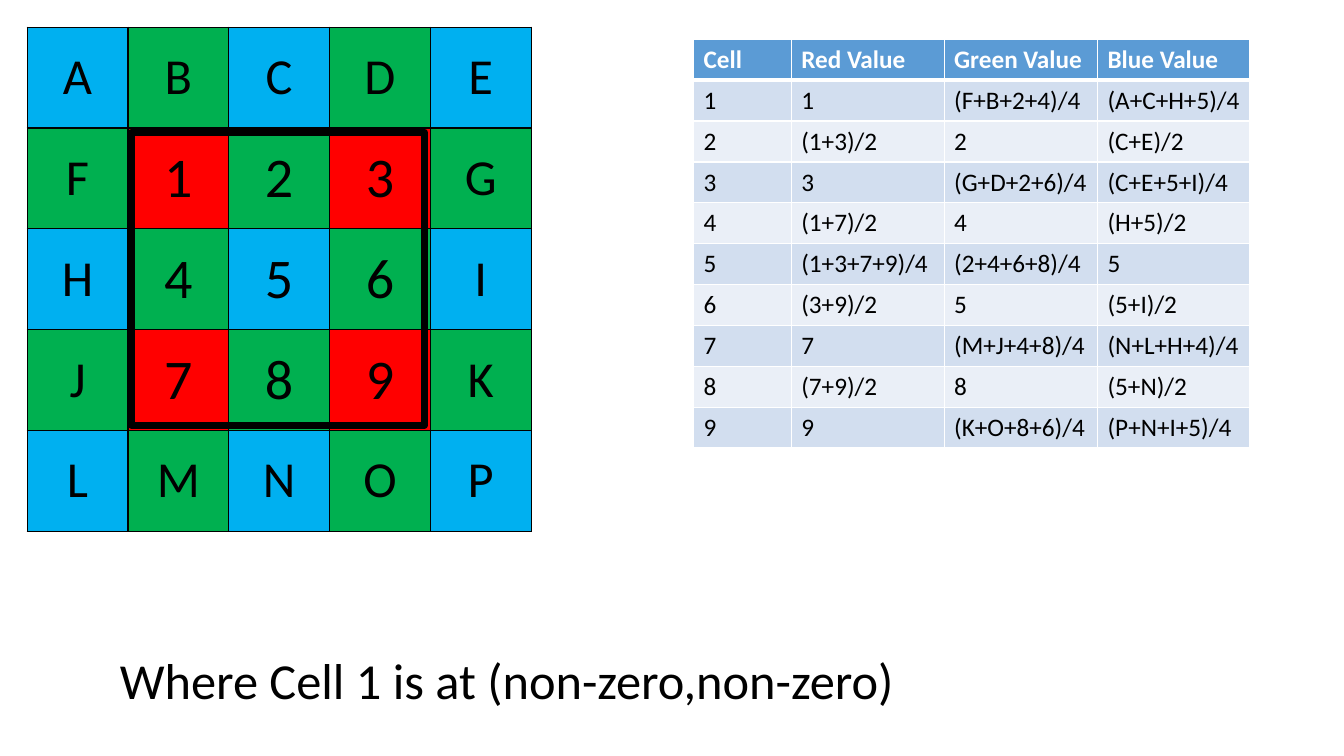
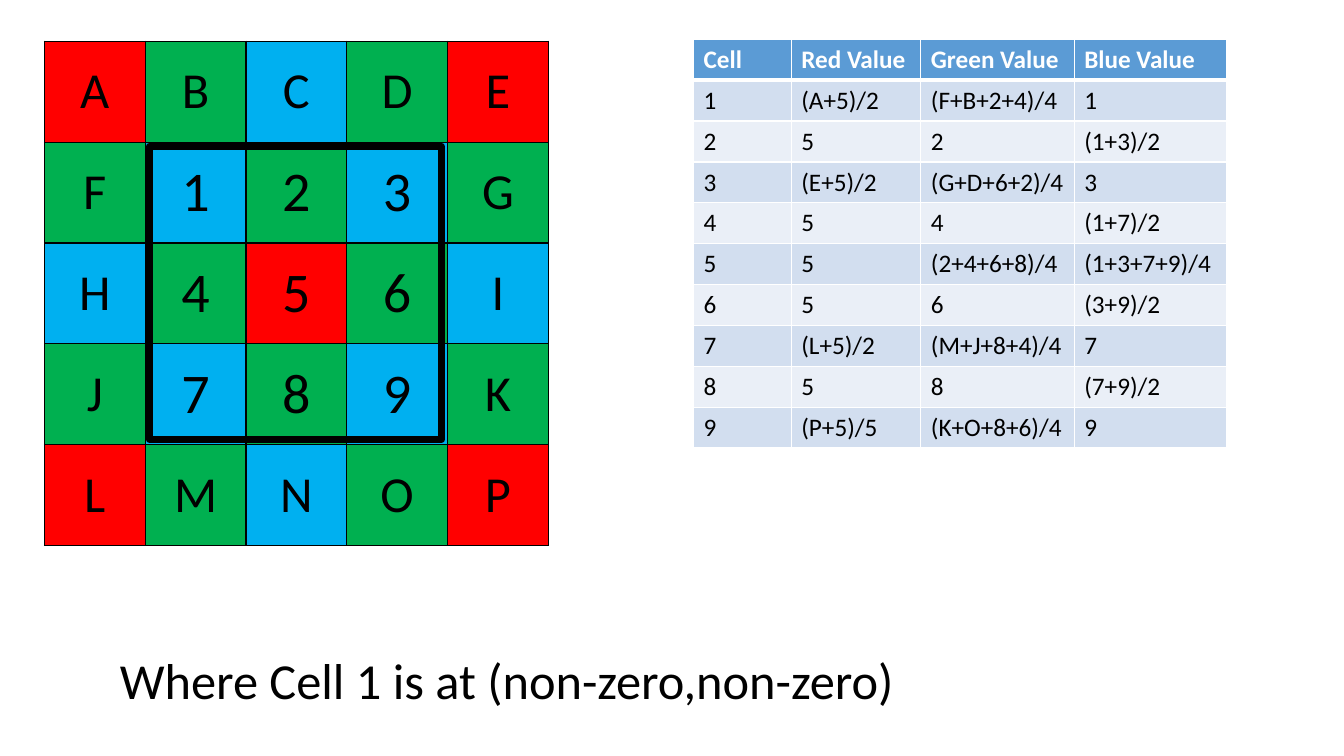
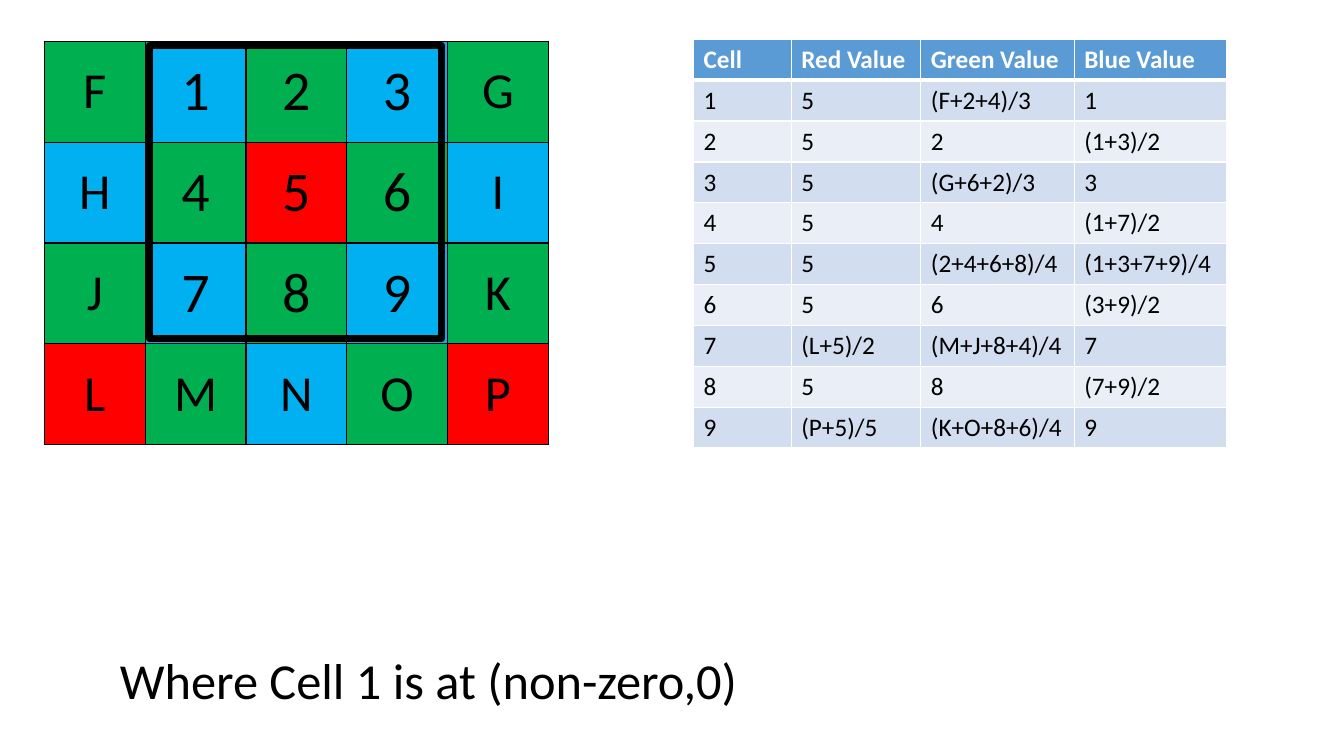
from dataclasses import dataclass

from lxml import etree
from pptx import Presentation
from pptx.dml.color import RGBColor
from pptx.enum.shapes import MSO_SHAPE
from pptx.enum.text import MSO_ANCHOR, MSO_AUTO_SIZE, PP_ALIGN
from pptx.oxml.ns import qn
from pptx.util import Pt

RECTANGLE = MSO_SHAPE.RECTANGLE
MIDDLE = MSO_ANCHOR.MIDDLE
FIT_SHAPE = MSO_AUTO_SIZE.SHAPE_TO_FIT_TEXT
CENTER, LEFT = PP_ALIGN.CENTER, PP_ALIGN.LEFT


@dataclass(frozen=True)
class Theme:
    font: str = "Calibri"
    ink: str = "000000"
    paper: str = "FFFFFF"
    red: str = "FF0000"
    green: str = "00B050"
    blue: str = "00B0F0"
    header: str = "5B9BD5"
    bands: tuple = ("D2DEEF", "EAEFF7")
    letter_size: int = 36
    digit_size: int = 40
    table_size: int = 18
    caption_size: int = 36
    rule: int = 1
    header_rule: int = 3
    frame_rule: int = 5


@dataclass(frozen=True)
class Box:
    left: float
    top: float
    width: float
    height: float

    def lengths(self):
        return Pt(self.left), Pt(self.top), Pt(self.width), Pt(self.height)


THEME = Theme()
PIXEL_FILLS = {"R": THEME.red, "G": THEME.green, "B": THEME.blue}
CELL_SIZE = 72
FRAME_INSET = 2.9
HEADINGS = ("Cell", "Red Value", "Green Value", "Blue Value")
CAPTION_BOX = Box(78.5, 460.1, 572.4, 50.9)
CAPTION_BOX_SHORT = Box(78.5, 460.1, 459.4, 50.9)
VALUES_LEFT, VALUES_TOP, VALUES_ROW = 495.4, 28.1, 29.2

LETTERS = ("ABCDE", "F123G", "H456I", "J789K", "LMNOP")
RED_CENTER = ("RGBGR", "GBGBG", "BGRGB", "GBGBG", "RGBGR")
BLUE_CENTER = ("BGBGB", "GRGRG", "BGBGB", "GRGRG", "BGBGB")
CORNER_AVERAGES = ("1", "(1+3)/2", "3", "(1+7)/2", "(1+3+7+9)/4",
                   "(3+9)/2", "7", "(7+9)/2", "9")
GREEN_LOWER = ("4", "(2+4+6+8)/4", "6", "(M+J+8+4)/4", "8", "(K+O+8+6)/4")
RED_LOWER = ("5", "5", "5", "(L+5)/2", "5", "(P+5)/5")


def style_paragraph(para, size, color, bold=False, align=LEFT):
    para.alignment = align
    para.font.name = THEME.font
    para.font.size = Pt(size)
    para.font.bold = bold
    para.font.color.rgb = RGBColor.from_string(color)


def set_borders(cell, color, top, bottom):
    properties = cell._tc.get_or_add_tcPr()
    widths = {"L": THEME.rule, "R": THEME.rule, "T": top, "B": bottom}
    for side, width in widths.items():
        line = etree.SubElement(properties, qn(f"a:ln{side}"), w=str(Pt(width)))
        fill = etree.SubElement(line, qn("a:solidFill"))
        etree.SubElement(fill, qn("a:srgbClr"), val=color)


def fill_cell(cell, text, fill, border, top=THEME.rule, bottom=THEME.rule):
    set_borders(cell, border, top, bottom)
    cell.fill.solid()
    cell.fill.fore_color.rgb = RGBColor.from_string(fill)
    cell.text = text
    return cell.text_frame.paragraphs[0]


def add_plain_table(page, left, top, widths, row_height, row_count):
    box = Box(left, top, sum(widths), row_height * row_count)
    table = page.shapes.add_table(row_count, len(widths), *box.lengths()).table
    table.first_row = table.horz_banding = False
    for column, width in zip(table.columns, widths):
        column.width = Pt(width)
    for row in table.rows:
        row.height = Pt(row_height)
    return table


def add_mosaic(page, left, top, letters, pattern):
    widths = [CELL_SIZE] * len(letters[0])
    mosaic = add_plain_table(page, left, top, widths, CELL_SIZE, len(letters))
    for row, (labels, codes) in enumerate(zip(letters, pattern)):
        for column, (label, code) in enumerate(zip(labels, codes)):
            cell = mosaic.cell(row, column)
            cell.vertical_anchor = MIDDLE
            para = fill_cell(cell, label, PIXEL_FILLS[code], THEME.ink)
            size = THEME.digit_size if label.isdigit() else THEME.letter_size
            style_paragraph(para, size, THEME.ink, align=CENTER)
    first_row = next(row for row, labels in enumerate(letters) if "1" in labels)
    frame_box = Box(left + CELL_SIZE + FRAME_INSET,
                    top + first_row * CELL_SIZE + FRAME_INSET, 208.8, 209.5)
    frame = page.shapes.add_shape(RECTANGLE, *frame_box.lengths())
    frame.shadow.inherit = False
    frame.fill.background()
    frame.line.color.rgb = RGBColor.from_string(THEME.ink)
    frame.line.width = Pt(THEME.frame_rule)


def add_values(page, left, top, red_width, channels):
    cells = [str(number) for number in range(1, 10)]
    rows = [HEADINGS, *zip(cells, *channels)]
    widths = (69.8, red_width, 109.6, 108.9)
    values = add_plain_table(page, left, top, widths, VALUES_ROW, len(rows))
    for row, texts in enumerate(rows):
        heading = row == 0
        fill = THEME.header if heading else THEME.bands[(row - 1) % 2]
        above = THEME.header_rule if row == 1 else THEME.rule
        below = THEME.header_rule if heading else THEME.rule
        for column, text in enumerate(texts):
            para = fill_cell(values.cell(row, column), text, fill, THEME.paper,
                             above, below)
            style_paragraph(para, THEME.table_size,
                            THEME.paper if heading else THEME.ink, bold=heading)


def add_caption(page, box, text):
    frame = page.shapes.add_textbox(*box.lengths()).text_frame
    frame.word_wrap = False
    frame.auto_size = FIT_SHAPE
    frame.text = text
    style_paragraph(frame.paragraphs[0], THEME.caption_size, THEME.ink)


def add_case(deck, corner, letters, pattern, red_width, channels, caption_box, position):
    page = deck.slides.add_slide(deck.slide_layouts[6])
    add_mosaic(page, *corner, letters, pattern)
    add_values(page, VALUES_LEFT, VALUES_TOP, red_width, channels)
    add_caption(page, caption_box, f"Where Cell 1 is at {position}")


def main():
    deck = Presentation()
    deck.slide_width, deck.slide_height = Pt(960), Pt(540)
    add_case(
        deck, (19.4, 19.4), LETTERS, BLUE_CENTER, 109.2,
        (CORNER_AVERAGES,
         ("(F+B+2+4)/4", "2", "(G+D+2+6)/4", "4", "(2+4+6+8)/4", "5",
          "(M+J+4+8)/4", "8", "(K+O+8+6)/4"),
         ("(A+C+H+5)/4", "(C+E)/2", "(C+E+5+I)/4", "(H+5)/2", "5", "(5+I)/2",
          "(N+L+H+4)/4", "(5+N)/2", "(P+N+I+5)/4")),
        CAPTION_BOX, "(non-zero,non-zero)")
    add_case(
        deck, (31.7, 29.5), LETTERS, RED_CENTER, 92.6,
        (("(A+5)/2", "5", "(E+5)/2", *RED_LOWER),
         ("(F+B+2+4)/4", "2", "(G+D+6+2)/4", *GREEN_LOWER),
         CORNER_AVERAGES),
        CAPTION_BOX, "(non-zero,non-zero)")
    add_case(
        deck, (31.7, 29.5), LETTERS[1:], RED_CENTER[1:], 92.6,
        (("5", "5", "5", *RED_LOWER),
         ("(F+2+4)/3", "2", "(G+6+2)/3", *GREEN_LOWER),
         CORNER_AVERAGES),
        CAPTION_BOX_SHORT, "(non-zero,0)")
    deck.save("out.pptx")


main()
